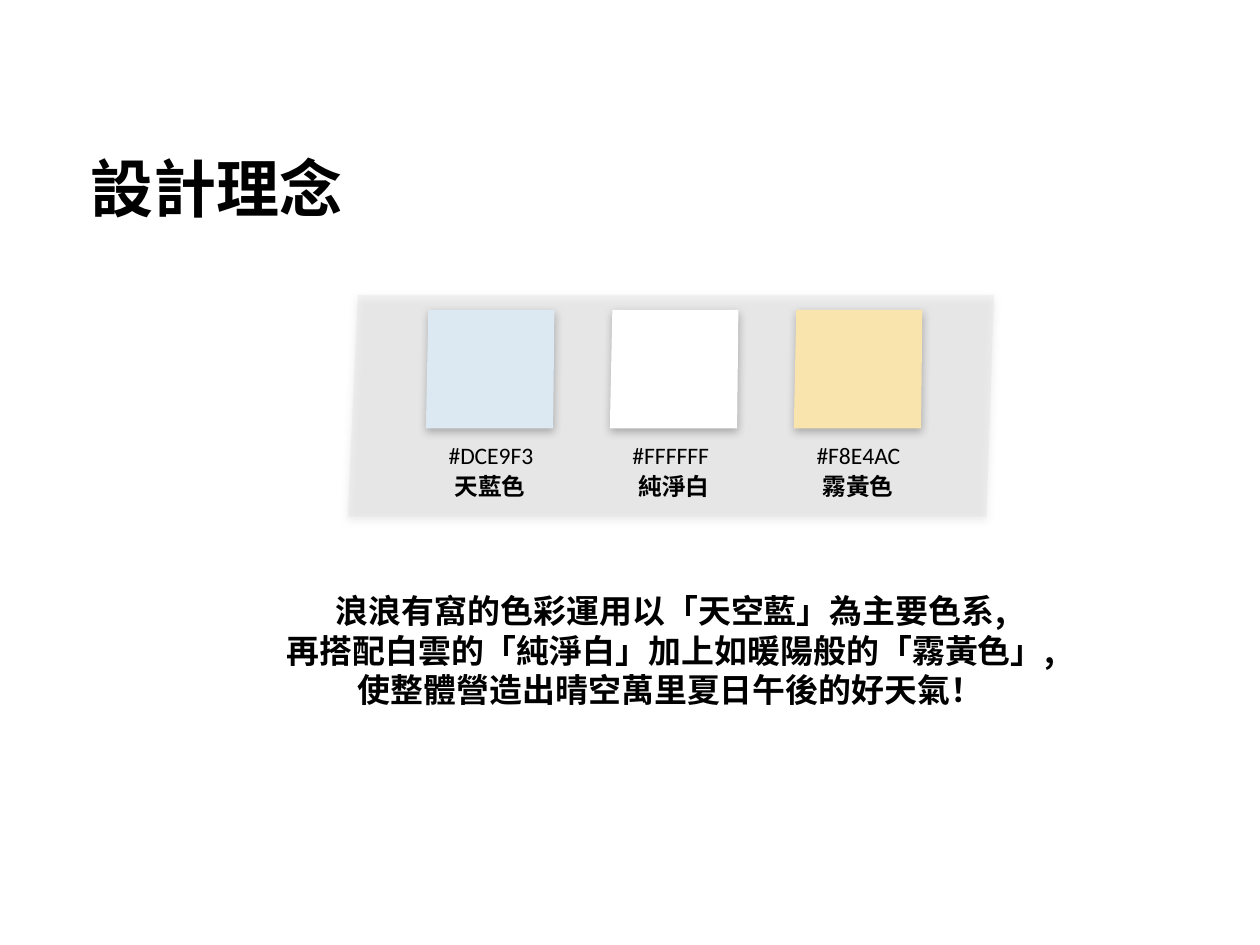
from dataclasses import dataclass

from lxml.etree import SubElement
from pptx import Presentation
from pptx.dml.color import RGBColor
from pptx.enum.text import MSO_ANCHOR as Anchor, MSO_AUTO_SIZE as AutoSize, PP_ALIGN as Align
from pptx.oxml.ns import qn
from pptx.shapes.autoshape import Shape
from pptx.slide import Slide
from pptx.util import Inches, Pt

BLACK = RGBColor(0x00, 0x00, 0x00)
PANEL_GRAY = RGBColor(0xDD, 0xDD, 0xDD)
SKY_BLUE = RGBColor(0xDC, 0xE9, 0xF3)
PURE_WHITE = RGBColor(0xFF, 0xFF, 0xFF)
MIST_YELLOW = RGBColor(0xF8, 0xE4, 0xAC)

LATIN_FONT = "Calibri"
CHINESE_FONT = "Noto Sans CJK SC"

SWATCH_LEFT = 3.38
SWATCH_STEP = 1.46
SWATCH_TOP = 2.46
SWATCH_BOTTOM = 3.4


@dataclass(frozen=True)
class Swatch:
    color: RGBColor
    name: str
    code_width: float


@dataclass(frozen=True)
class TextStyle:
    font: str
    size: float
    bold: bool
    align: Align = Align.LEFT


TITLE_STYLE = TextStyle(CHINESE_FONT, 36, True)
STORY_STYLE = TextStyle(CHINESE_FONT, 18.8, True, Align.CENTER)
CODE_STYLE = TextStyle(LATIN_FONT, 13.5, False)
NAME_STYLE = TextStyle(CHINESE_FONT, 13.5, True)

SWATCHES = [
    Swatch(SKY_BLUE, "天藍色", 0.76),
    Swatch(PURE_WHITE, "純淨白", 0.7),
    Swatch(MIST_YELLOW, "霧黃色", 0.75),
]

STORY = [
    "浪浪有窩的色彩運用以「天空藍」為主要色系,",
    "再搭配白雲的「純淨白」加上如暖陽般的「霧黃色」,",
    "使整體營造出晴空萬里夏日午後的好天氣！",
]


def write_text(box: Shape, lines: list[str], style: TextStyle, wrap: bool = False) -> None:
    frame = box.text_frame
    frame.text = "\n".join(lines)
    frame.word_wrap = wrap
    frame.auto_size = AutoSize.SHAPE_TO_FIT_TEXT
    frame.vertical_anchor = Anchor.TOP
    frame.margin_left = frame.margin_right = Inches(0.04)
    frame.margin_top = frame.margin_bottom = Inches(0.05)
    for para in frame.paragraphs:
        para.alignment = style.align
        para.line_spacing = 1.0
        para.space_before = Pt(0)
        font = para.font
        font.size = Pt(style.size)
        font.bold = style.bold
        font.color.rgb = BLACK
        font.name = style.font
        SubElement(font._element, qn("a:ea"), typeface=style.font)


def add_text(page: Slide, left: float, top: float, width: float, height: float,
             lines: list[str], style: TextStyle) -> None:
    box = page.shapes.add_textbox(Inches(left), Inches(top), Inches(width), Inches(height))
    write_text(box, lines, style)


def add_card(page: Slide, corners: list[tuple[float, float]], color: RGBColor) -> Shape:
    points = [(Inches(x), Inches(y)) for x, y in corners]
    builder = page.shapes.build_freeform(*points[0])
    builder.add_line_segments(points[1:], close=True)
    card = builder.convert_to_shape()
    card.fill.solid()
    card.fill.fore_color.rgb = color
    card.line.fill.background()
    card.shadow.inherit = False
    effects = card._element.spPr.find(qn("a:effectLst"))
    shadow = SubElement(effects, qn("a:outerShdw"), blurRad=str(Pt(5)), dist=str(Pt(2)),
                        dir="5400000", algn="ctr", rotWithShape="0")
    tint = SubElement(shadow, qn("a:srgbClr"), val=str(BLACK))
    SubElement(tint, qn("a:alpha"), val="26000")
    return card


def add_panel(page: Slide) -> None:
    corners = [(2.84, 2.34), (7.89, 2.34), (7.83, 4.1), (2.76, 4.1)]
    panel = add_card(page, corners, PANEL_GRAY)
    tint = panel._element.spPr.find(qn("a:solidFill")).find(qn("a:srgbClr"))
    SubElement(tint, qn("a:alpha"), val="30000")


def add_swatch(page: Slide, left: float, swatch: Swatch) -> None:
    corners = [(left + 0.02, SWATCH_TOP), (left + 1.02, SWATCH_TOP),
               (left + 1.01, SWATCH_BOTTOM), (left, SWATCH_BOTTOM)]
    add_card(page, corners, swatch.color)
    add_text(page, left + 0.14, 3.45, swatch.code_width, 0.33, [f"#{swatch.color}"], CODE_STYLE)
    add_text(page, left + 0.19, 3.7, 0.64, 0.33, [swatch.name], NAME_STYLE)


def main() -> None:
    deck = Presentation()
    deck.slide_width, deck.slide_height = Inches(10), Inches(7.5)
    page = deck.slides.add_slide(deck.slide_layouts[5])

    title = page.shapes.title
    title.left, title.top = Inches(0.68), Inches(1.14)
    title.width, title.height = Inches(9.28), Inches(0.71)
    write_text(title, ["設計理念"], TITLE_STYLE, wrap=True)

    add_text(page, 2.23, 4.64, 6.19, 1.05, STORY, STORY_STYLE)
    add_panel(page)
    for index, swatch in enumerate(SWATCHES):
        add_swatch(page, SWATCH_LEFT + index * SWATCH_STEP, swatch)

    deck.save("out.pptx")


if __name__ == "__main__":
    main()
